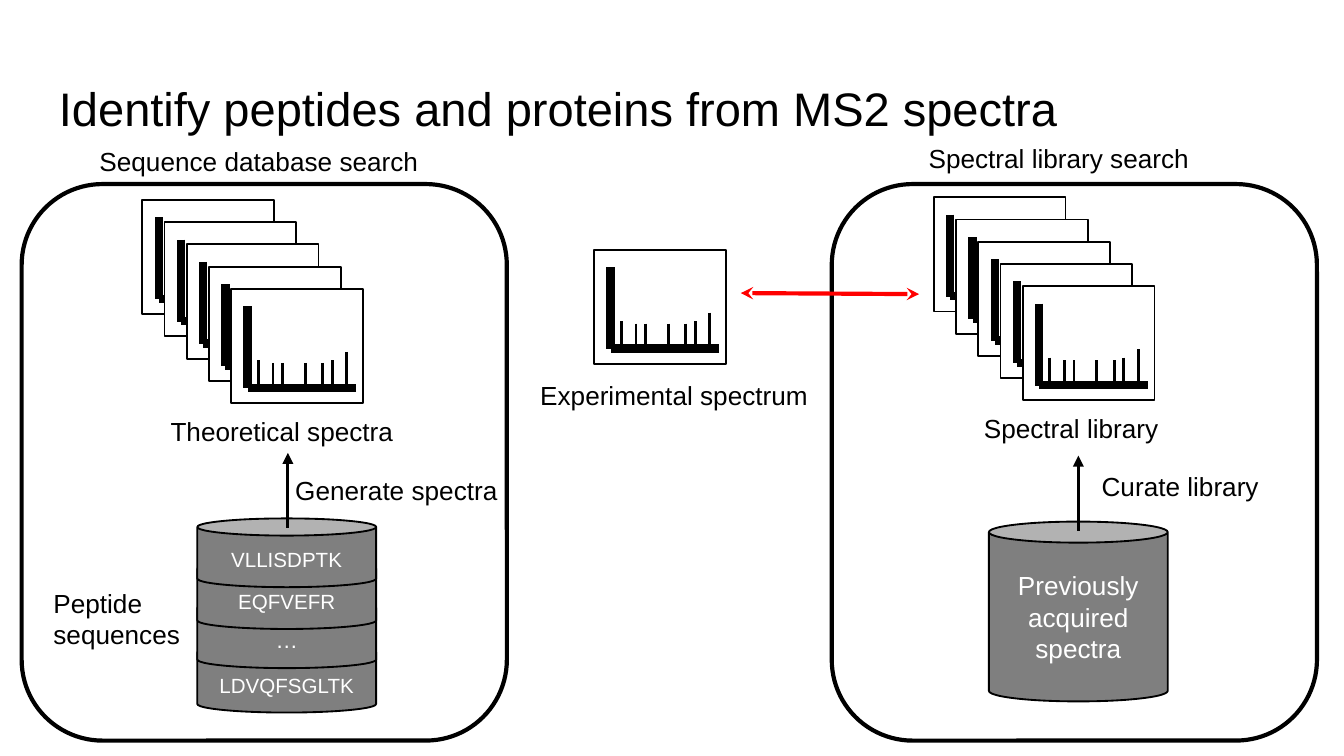
from typing import NamedTuple

from lxml import etree
from pptx import Presentation
from pptx import util as u
from pptx.dml.color import RGBColor
from pptx.enum import shapes, text
from pptx.oxml import ns

FONT = "Arial"
BLACK, WHITE, GRAY, RED = "000000", "FFFFFF", "7F7F7F", "FF0000"
LEFT, MID = text.PP_ALIGN.LEFT, text.PP_ALIGN.CENTER
TOP, CENTER, BASE = text.MSO_ANCHOR.TOP, text.MSO_ANCHOR.MIDDLE, text.MSO_ANCHOR.BOTTOM


class Box(NamedTuple):
    x: float
    y: float
    w: float
    h: float


class Label(NamedTuple):
    words: str
    box: Box
    align: text.PP_ALIGN = LEFT


class Can(NamedTuple):
    words: str
    box: Box
    lid: float
    size: float
    anchor: text.MSO_ANCHOR


class Arrow(NamedTuple):
    x1: float
    y1: float
    x2: float
    y2: float
    color: str
    width: float
    ends: dict


class Peak(NamedTuple):
    x: float
    top: float


PANELS = [Box(x, 3.48, 9.17, 10.52) for x in (0.41, 15.72)]
PEAKS = [Peak(0.51, 1.35), Peak(0.79, 1.4), Peak(0.97, 1.4), Peak(1.4, 1.4),
         Peak(1.73, 1.4), Peak(1.91, 1.35), Peak(2.18, 1.19)]
STEP, COUNT = 0.42, 5
STACKS = [(2.69, 3.78), (17.65, 3.73)]
ROWS = [("LDVQFSGLTK", 12.17, 11), ("…", 11.33, 12),
        ("EQFVEFR", 10.59, 11), ("VLLISDPTK", 9.8, 11)]
CANS = [Can(words, Box(3.73, y, 3.38, 1.3), 0.25, size, BASE) for words, y, size in ROWS]
CANS.append(Can("Previously acquired spectra", Box(18.69, 9.86, 3.38, 3.4), 0.118, 14, CENTER))
LABELS = [
    Label("Sequence database search", Box(1.63, 2.62, 6.73, 0.86)),
    Label("Spectral library search", Box(17.3, 2.57, 6.02, 0.86)),
    Label("Experimental spectrum", Box(9.96, 7.04, 6.02, 0.86)),
    Label("Theoretical spectra", Box(2.13, 7.72, 6.4, 0.86), MID),
    Label("Spectral library", Box(15.95, 7.67, 8.59, 0.86), MID),
    Label("Generate spectra", Box(5.33, 8.84, 4.55, 0.86)),
    Label("Curate library", Box(20.57, 8.76, 3.94, 0.86)),
    Label("Peptide sequences", Box(0.76, 10.97, 3.38, 1.45)),
]
ARROWS = [
    Arrow(5.44, 9.98, 5.44, 8.56, BLACK, 1.5, {"tailEnd": "triangle"}),
    Arrow(20.38, 10.03, 20.38, 8.61, BLACK, 1.5, {"tailEnd": "triangle"}),
    Arrow(14, 5.54, 17.37, 5.56, RED, 2.25, {"headEnd": "stealth", "tailEnd": "stealth"}),
]


def paint(color, code: str) -> None:
    color.rgb = RGBColor.from_string(code)


def place(box: Box) -> list:
    return [u.Cm(n) for n in box]


def write(shape, words: str, size: float, code: str, align, anchor) -> None:
    frame = shape.text_frame
    frame.text = words
    frame.word_wrap = True
    frame.vertical_anchor = anchor
    for para in frame.paragraphs:
        para.alignment = align
        for run in para.runs:
            run.font.size = u.Pt(size)
            run.font.name = FONT
            paint(run.font.color, code)


def draw_shape(parent, kind, box: Box, fill: str = "", width: float = 1):
    shape = parent.add_shape(kind, *place(box))
    shape.shadow.inherit = False
    if fill:
        shape.fill.solid()
        paint(shape.fill.fore_color, fill)
    else:
        shape.fill.background()
    paint(shape.line.color, BLACK)
    shape.line.width = u.Pt(width)
    return shape


def draw_line(parent, x1: float, y1: float, x2: float, y2: float,
              width: float, code: str = BLACK):
    line = parent.add_connector(shapes.MSO_CONNECTOR.STRAIGHT,
                                *(u.Cm(n) for n in (x1, y1, x2, y2)))
    paint(line.line.color, code)
    line.line.width = u.Pt(width)
    etree.SubElement(line._element.spPr, ns.qn("a:effectLst"))
    return line


def draw_arrow(parent, arrow: Arrow) -> None:
    line = draw_line(parent, *arrow[:4], arrow.width, arrow.color)
    pen = line.line._get_or_add_ln()
    for end, kind in arrow.ends.items():
        etree.SubElement(pen, ns.qn(f"a:{end}")).set("type", kind)


def draw_chart(parent, x: float, y: float, peaks: list) -> None:
    group = parent.add_group_shape().shapes
    draw_shape(group, shapes.MSO_SHAPE.RECTANGLE, Box(x, y, 2.49, 2.16), WHITE)
    draw_line(group, x + 0.31, y + 0.33, x + 0.31, y + 1.88, 4.5)
    for peak in peaks:
        draw_line(group, x + peak.x, y + peak.top, x + peak.x, y + 1.85, 1.5)
    draw_line(group, x + 2.36, y + 1.87, x + 0.31, y + 1.87, 4.5)


def draw_stack(parent, x: float, y: float) -> None:
    for i in range(COUNT):
        draw_chart(parent, x + i * STEP, y + i * STEP, PEAKS if i == COUNT - 1 else [])


def draw_can(parent, can: Can) -> None:
    shape = draw_shape(parent, shapes.MSO_SHAPE.CAN, can.box, GRAY)
    shape.adjustments[0] = can.lid
    write(shape, can.words, can.size, WHITE, MID, can.anchor)


def draw_label(parent, label: Label) -> None:
    box = parent.add_textbox(*place(label.box))
    write(box, label.words, 14, BLACK, label.align, TOP)


def main() -> None:
    deck = Presentation()
    deck.slide_width, deck.slide_height = u.Cm(25.4), u.Cm(14.29)
    slide = deck.slides.add_slide(deck.slide_layouts[5])
    tree = slide.shapes

    title = tree.title
    title.left, title.top, title.width, title.height = place(Box(0.86, 1.24, 23.67, 1.6))
    write(title, "Identify peptides and proteins from MS2 spectra", 25.2, BLACK, LEFT, CENTER)

    for box in PANELS:
        draw_shape(tree, shapes.MSO_SHAPE.ROUNDED_RECTANGLE, box, width=2.25)
    draw_chart(tree, 11.23, 4.72, PEAKS)
    for x, y in STACKS:
        draw_stack(tree, x, y)
    for can in CANS:
        draw_can(tree, can)
    for label in LABELS:
        draw_label(tree, label)
    for arrow in ARROWS:
        draw_arrow(tree, arrow)

    deck.save("out.pptx")


if __name__ == "__main__":
    main()
